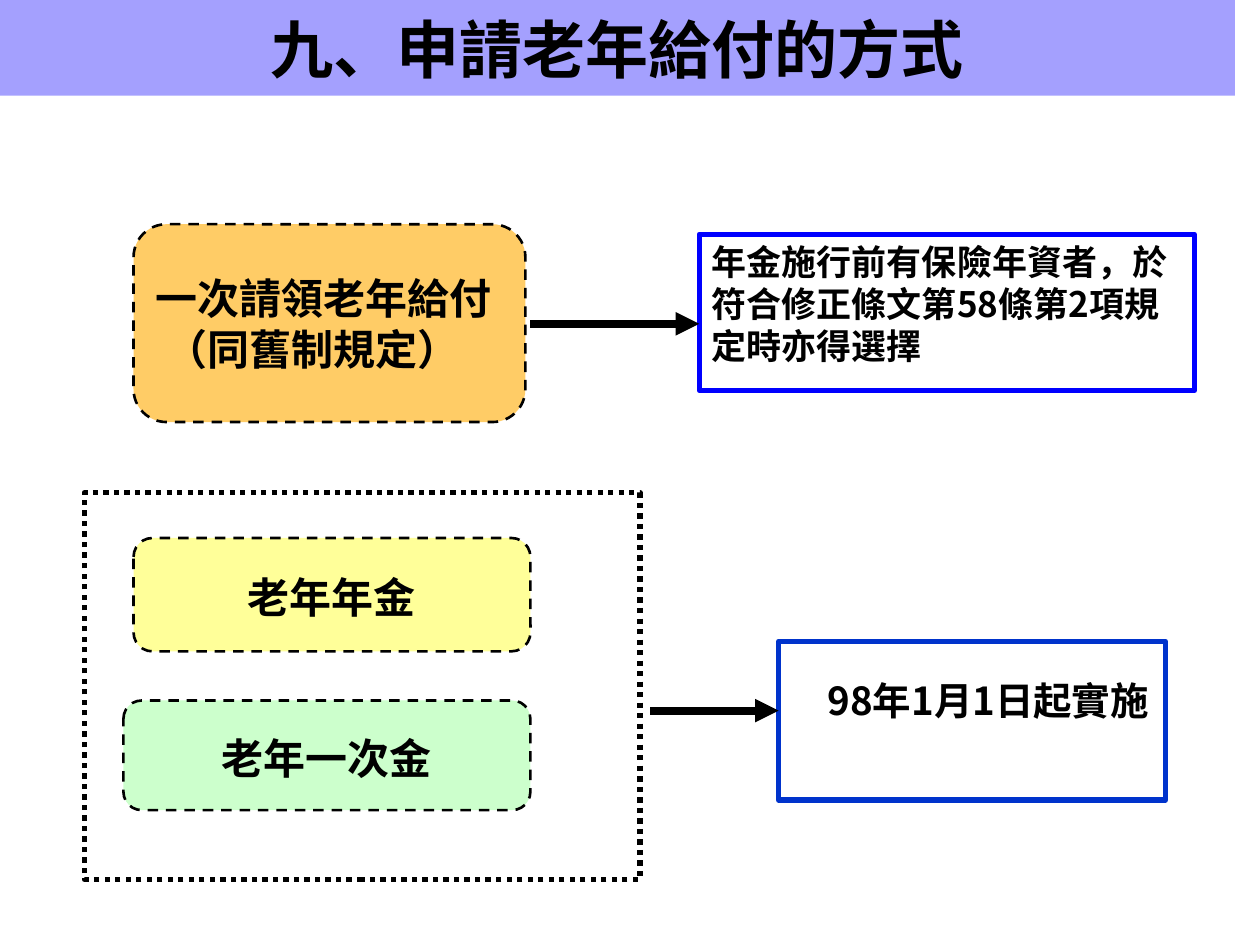
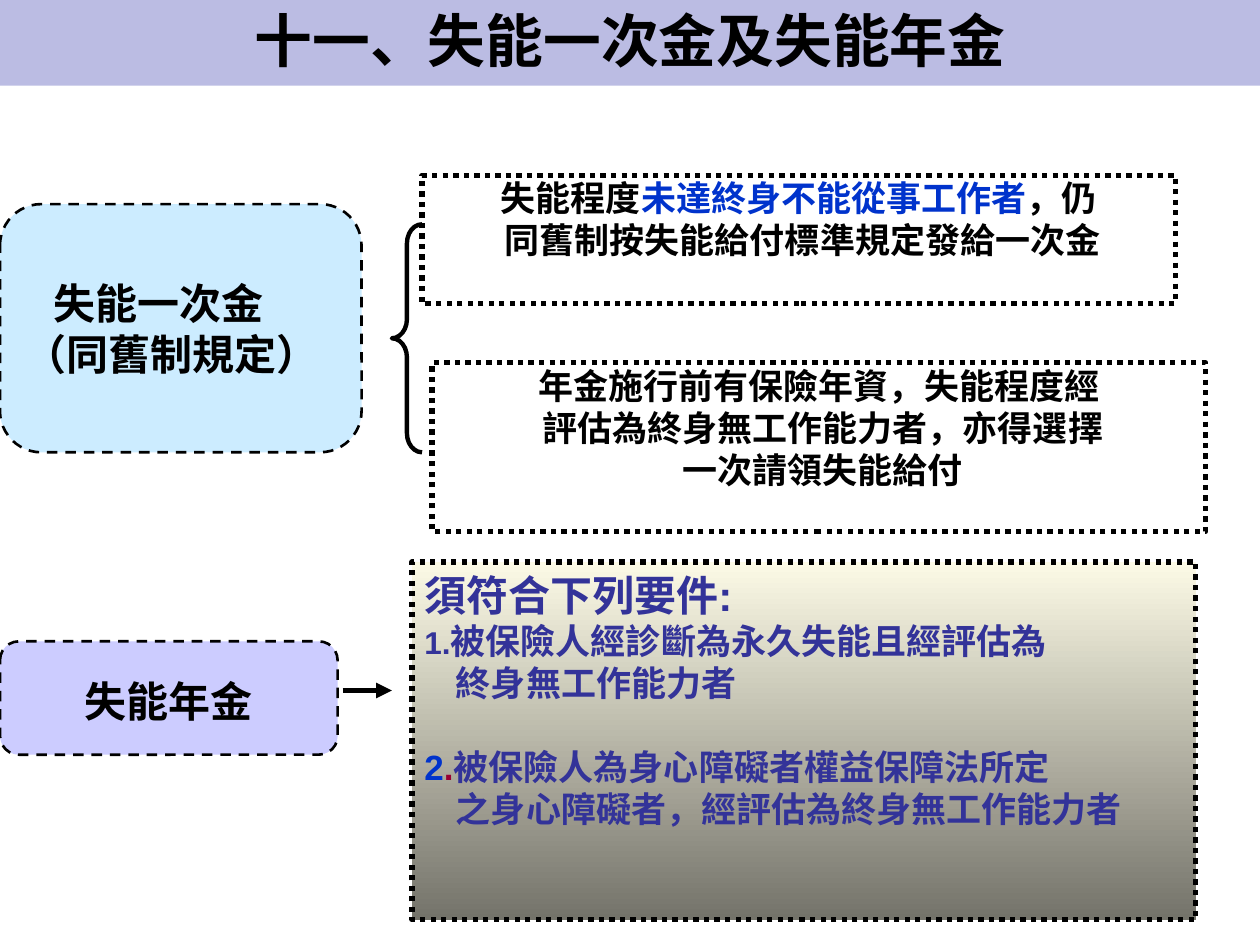
from dataclasses import dataclass, field
from typing import Any, Optional

from lxml.etree import SubElement
from pptx import Presentation
from pptx.dml.color import RGBColor
from pptx.enum.dml import MSO_LINE
from pptx.enum.shapes import MSO_CONNECTOR, MSO_SHAPE
from pptx.enum.text import MSO_ANCHOR, MSO_AUTO_SIZE, PP_ALIGN
from pptx.oxml.ns import qn
from pptx.util import Emu, Inches, Pt

COLUMNS, ROWS = 100, 75
TITLE_ONLY = 5


@dataclass(frozen=True)
class Theme:
    black: str = "000000"
    blue: str = "0033CC"
    bright_blue: str = "0000FF"
    indigo: str = "333399"
    crimson: str = "990033"
    periwinkle: str = "A4A0FE"
    lavender: str = "BBBCE3"
    orange: str = "FFCC66"
    yellow: str = "FFFF99"
    green: str = "CCFFCC"
    sky: str = "CCECFF"
    lilac: str = "CCCCFF"
    cream_to_grey: tuple[str, str] = ("FCFAE6", "74736A")
    latin: str = "Arial"
    chinese: str = "Noto Sans CJK TC"
    choice_size: float = 24
    date_size: float = 22
    body_size: float = 20
    number_size: float = 18


THEME = Theme()


@dataclass(frozen=True)
class Place:
    """A rectangle in grid columns and rows."""
    column: float
    row: float
    columns: float
    rows: float


@dataclass(frozen=True)
class Outline:
    color: str
    width: float
    dash: Optional[MSO_LINE] = None


@dataclass(frozen=True)
class Span:
    text: str
    color: str = THEME.black
    size: Optional[float] = None


@dataclass(frozen=True)
class Line:
    spans: tuple[Span, ...]
    size: float = THEME.body_size
    indent: float = 0
    format: dict[str, Any] = field(default_factory=dict)


@dataclass(frozen=True)
class Box:
    place: Place
    outline: Outline
    lines: tuple[Line, ...] = ()
    fill: Any = None
    preset: MSO_SHAPE = MSO_SHAPE.RECTANGLE
    align: PP_ALIGN = PP_ALIGN.LEFT
    latin: str = THEME.chinese
    frame: dict[str, Any] = field(default_factory=dict)


@dataclass(frozen=True)
class Arrow:
    start: float
    end: float
    row: float
    width: float


@dataclass(frozen=True)
class Title:
    text: str
    columns: float
    rows: float
    fill: str
    size: float
    spacing: float = 1.0


DASHED = Outline(THEME.black, 1.5, MSO_LINE.DASH)
DOTTED = Outline(THEME.black, 3, MSO_LINE.ROUND_DOT)
MIDDLE = {"vertical_anchor": MSO_ANCHOR.MIDDLE}


def set_all(target: Any, values: dict[str, Any]) -> None:
    for name, value in values.items():
        setattr(target, name, value)


def cells(count: float) -> Emu:
    return Inches(count * 10 / COLUMNS)


def position(shape: Any, place: Place) -> None:
    set_all(shape, {
        "left": cells(place.column), "top": cells(place.row),
        "width": cells(place.columns), "height": cells(place.rows),
    })


def style_run(run: Any, color: str, size: float, latin: str) -> None:
    set_all(run.font, {"size": Pt(size), "bold": True, "name": latin})
    run.font.color.rgb = RGBColor.from_string(color)
    east_asian = SubElement(run.font._element, qn("a:ea"))
    east_asian.set("typeface", THEME.chinese)
    run.font._element.find(qn("a:latin")).addnext(east_asian)


def paint(shape: Any, fill: Any) -> None:
    """Fill with nothing, one colour, or a pair from top to bottom."""
    if fill is None:
        shape.fill.background()
    elif isinstance(fill, tuple):
        shape.fill.gradient()
        shape.fill.gradient_angle = 270
        for stop, color in zip(shape.fill.gradient_stops, fill):
            stop.color.rgb = RGBColor.from_string(color)
    else:
        shape.fill.solid()
        shape.fill.fore_color.rgb = RGBColor.from_string(fill)


def draw_outline(target: Any, outline: Outline) -> None:
    target.line.color.rgb = RGBColor.from_string(outline.color)
    target.line.width = Pt(outline.width)
    if outline.dash is not None:
        target.line.dash_style = outline.dash


def write_lines(frame: Any, box: Box) -> None:
    set_all(frame, {"word_wrap": True, "auto_size": MSO_AUTO_SIZE.NONE,
                    "vertical_anchor": MSO_ANCHOR.TOP, **box.frame})
    for index, line in enumerate(box.lines):
        paragraph = frame.add_paragraph() if index else frame.paragraphs[0]
        set_all(paragraph, {"alignment": box.align, **line.format})
        if line.indent:
            paragraph._p.get_or_add_pPr().set("marL", str(cells(line.indent)))
        for span in line.spans:
            run = paragraph.add_run()
            run.text = span.text
            style_run(run, span.color, span.size or line.size, box.latin)


def draw_box(slide: Any, box: Box) -> Any:
    shape = slide.shapes.add_shape(box.preset, 0, 0, 0, 0)
    position(shape, box.place)
    shape.shadow.inherit = False
    paint(shape, box.fill)
    draw_outline(shape, box.outline)
    if box.lines:
        write_lines(shape.text_frame, box)
    return shape


def draw_arrow(slide: Any, arrow: Arrow) -> None:
    connector = slide.shapes.add_connector(
        MSO_CONNECTOR.STRAIGHT, cells(arrow.start), cells(arrow.row),
        cells(arrow.end), cells(arrow.row))
    draw_outline(connector, Outline(THEME.black, arrow.width))
    SubElement(connector.line._get_or_add_ln(), qn("a:tailEnd")).set("type", "triangle")
    SubElement(connector._element.spPr, qn("a:effectLst"))


def add_slide(presentation: Any, title: Title, boxes: tuple[Box, ...],
              arrows: tuple[Arrow, ...]) -> Any:
    slide = presentation.slides.add_slide(presentation.slide_layouts[TITLE_ONLY])
    band = slide.shapes.title
    position(band, Place(0, 0, title.columns, title.rows))
    paint(band, title.fill)
    set_all(band.text_frame, {"word_wrap": True, "auto_size": MSO_AUTO_SIZE.NONE, **MIDDLE})
    paragraph = band.text_frame.paragraphs[0]
    set_all(paragraph, {"alignment": PP_ALIGN.CENTER, "line_spacing": title.spacing})
    run = paragraph.add_run()
    run.text = title.text
    style_run(run, THEME.black, title.size, THEME.latin)
    for box in boxes:
        draw_box(slide, box)
    for arrow in arrows:
        draw_arrow(slide, arrow)
    return slide


def plain(text: str, size: float = THEME.body_size, indent: float = 0,
          color: str = THEME.black, **format: Any) -> Line:
    return Line((Span(text, color),), size, indent, format)


def choice(place: Place, fill: str, *lines: Line) -> Box:
    """A dashed, rounded box naming a benefit; a single line is centred."""
    align = PP_ALIGN.CENTER if len(lines) == 1 else PP_ALIGN.LEFT
    return Box(place, DASHED, lines, fill, MSO_SHAPE.ROUNDED_RECTANGLE, align, frame=MIDDLE)


def benefit(text: str, indent: float = 0, **format: Any) -> Line:
    return plain(text, THEME.choice_size, indent, **format)


def condition(place: Place, *lines: Line) -> Box:
    return Box(place, DOTTED, lines, align=PP_ALIGN.CENTER, latin=THEME.latin,
               frame={"margin_top": cells(0.1)})


def add_claim_methods(presentation: Any) -> None:
    title = Title("九、申請老年給付的方式", 98, 7.6, THEME.periwinkle, 36)
    boxes = (
        Box(Place(6.7, 39.1, 44.1, 30.7), DOTTED),
        choice(Place(10.6, 17.8, 31.1, 15.7), THEME.orange,
               benefit("一次請領老年給付"), benefit("（同舊制規定）", 0.8)),
        choice(Place(10.6, 42.7, 31.5, 9), THEME.yellow, benefit("老年年金", line_spacing=1.1)),
        choice(Place(9.8, 55.6, 32.3, 8.7), THEME.green,
               benefit("老年一次金", line_spacing=1.1)),
        Box(Place(55.5, 18.6, 39.3, 12.4), Outline(THEME.bright_blue, 3),
            (plain("年金施行前有保險年資者，於符合修正條文第58條第2項規定時亦得選擇"),)),
        Box(Place(61.8, 50.9, 30.7, 12.6), Outline(THEME.blue, 3),
            (plain("98年1月1日起實施", THEME.date_size, 2.9),),
            frame={"margin_top": cells(2.8), "margin_right": cells(0.2)}),
    )
    arrows = (Arrow(42.1, 55.5, 25.7, 4.5), Arrow(51.6, 61.8, 56.4, 4.5))
    add_slide(presentation, title, boxes, arrows)


def add_disability_benefits(presentation: Any) -> None:
    title = Title("十一、失能一次金及失能年金", 100, 6.8, THEME.lavender, 33, 0.95)
    requirements = (
        plain("須符合下列要件:", THEME.choice_size, color=THEME.indigo),
        Line((Span("1.", THEME.indigo, THEME.number_size),
              Span("被保險人經診斷為永久失能且經評估為", THEME.indigo))),
        plain("終身無工作能力者", indent=2.5, color=THEME.indigo),
        Line((Span("2", THEME.blue), Span(".", THEME.crimson),
              Span("被保險人為身心障礙者權益保障法所定", THEME.indigo)),
             format={"space_before": Pt(24)}),
        plain("之身心障礙者，經評估為終身無工作能力者", indent=2.5, color=THEME.indigo),
    )
    boxes = (
        choice(Place(0, 16.2, 28.7, 19.7), THEME.sky,
               benefit("失能一次金", 2.3), benefit("（同舊制規定）")),
        choice(Place(0, 50.9, 26.8, 9), THEME.lilac, benefit("失能年金", line_spacing=1.1)),
        condition(Place(33.5, 13.9, 59.8, 10.2),
                  Line((Span("失能程度"), Span("未達終身不能從事工作者", THEME.blue), Span("，仍"))),
                  plain("同舊制按失能給付標準規定發給一次金", indent=0.6)),
        condition(Place(34.3, 28.8, 61.4, 13.4),
                  plain("年金施行前有保險年資，失能程度經"),
                  plain("評估為終身無工作能力者，亦得選擇", indent=0.6),
                  plain("一次請領失能給付", indent=0.6)),
        Box(Place(32.7, 44.6, 62.2, 28.4), DOTTED, requirements, THEME.cream_to_grey,
            latin=THEME.latin, frame={"margin_top": cells(0.6)}),
    )
    slide = add_slide(presentation, title, boxes, (Arrow(27.2, 31.1, 54.8, 3),))
    brace = draw_box(slide, Box(Place(31.1, 17.8, 2.4, 18.1), Outline(THEME.black, 2.5),
                                preset=MSO_SHAPE.LEFT_BRACE))
    brace.adjustments[0] = 0.63


def main() -> None:
    presentation = Presentation()
    set_all(presentation, {"slide_width": cells(COLUMNS), "slide_height": cells(ROWS)})
    add_claim_methods(presentation)
    add_disability_benefits(presentation)
    presentation.save("out.pptx")


if __name__ == "__main__":
    main()
